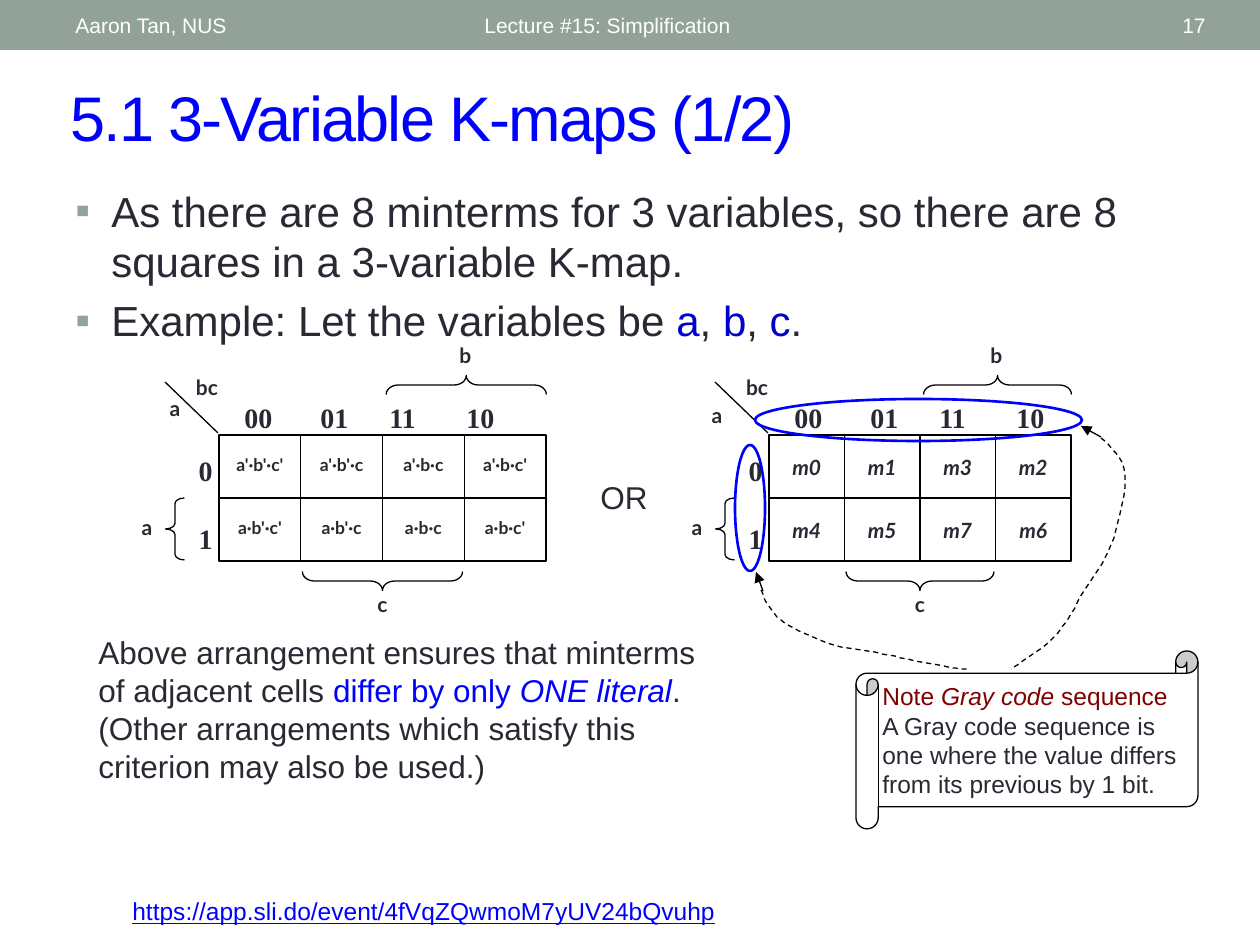
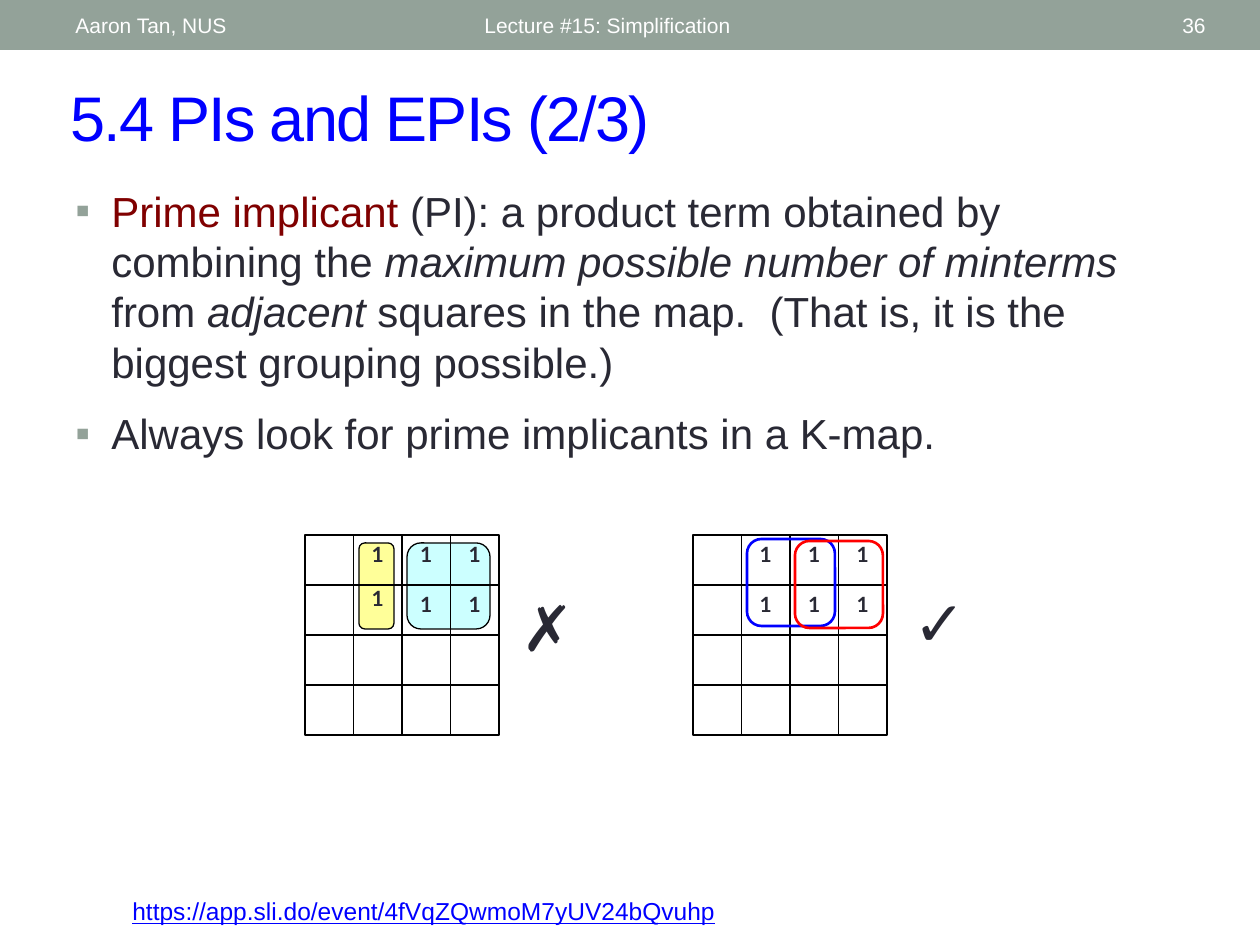
from lxml import etree
from pptx import Presentation, util as u
from pptx.dml.color import RGBColor
from pptx.enum import dml, shapes, text
from pptx.oxml.ns import qn

PX = 914400 / 126
INK, WHITE, BLACK, BAND = "292934", "FFFFFF", "000000", "93A299"
BLUE, NAVY, MAROON, RED = "0000FF", "0000CC", "800000", "FF0000"
AQUA, YELLOW = "CCFFFF", "FFFF99"
SHAPE, ALIGN = shapes.MSO_SHAPE, text.PP_ALIGN
LABEL = dict(name="Lato", size=12, bold=True)
CODE = dict(name="Times New Roman", size=16, bold=True)
URL = "https://app.sli.do/event/4fVqZQwmoM7yUV24bQvuhp"


def px(*values):
    return [u.Emu(round(v * PX)) for v in values]


def rgb(value):
    return RGBColor.from_string(value)


def sub(parent, tag, **attrs):
    return etree.SubElement(parent, qn(tag), attrs)


def set_font(font, fmt):
    fmt = dict(dict(name="Arial", size=18, color=INK), **fmt)
    font.color.rgb = rgb(fmt.pop("color"))
    fmt["size"] = u.Pt(fmt["size"])
    for key, value in fmt.items():
        setattr(font, key, value)


def write(s, box, paragraphs, align=ALIGN.LEFT, middle=False, gap=0,
          bullet=False, tabs=(), **fmt):
    """Each paragraph is a string or a list of strings and (string, format) runs."""
    tf = s.shapes.add_textbox(*px(*box)).text_frame
    tf.word_wrap = True
    if middle:
        tf.vertical_anchor = text.MSO_ANCHOR.MIDDLE
    for i, runs in enumerate(paragraphs):
        p = tf.paragraphs[0] if i == 0 else tf.add_paragraph()
        p.alignment = align
        if i and gap:
            p.space_before = u.Pt(gap)
        pPr = p._p.get_or_add_pPr()
        if bullet:
            indent = px(36)[0]
            pPr.set("marL", str(indent))
            pPr.set("indent", str(-indent))
            sub(sub(pPr, "a:buClr"), "a:srgbClr", val=BAND)
            sub(pPr, "a:buFont", typeface="Arial")
            sub(pPr, "a:buChar", char="▪")
        if tabs:
            stops = sub(pPr, "a:tabLst")
            for stop in px(*tabs):
                sub(stops, "a:tab", pos=str(stop), algn="l")
        for run in [runs] if isinstance(runs, str) else runs:
            words, own = (run, {}) if isinstance(run, str) else run
            r = p.add_run()
            r.text = words
            set_font(r.font, dict(fmt, **own))
    return tf


def label(s, cx, top, words, width=60, **fmt):
    write(s, (cx - width / 2, top, width, 40), [words], ALIGN.CENTER,
          **dict(LABEL, **fmt))


def style(sp, fill=None, line=BLACK, weight=0.75):
    sp.shadow.inherit = False
    if fill:
        sp.fill.solid()
        sp.fill.fore_color.rgb = rgb(fill)
    else:
        sp.fill.background()
    if line:
        sp.line.color.rgb = rgb(line)
        sp.line.width = u.Pt(weight)
    else:
        sp.line.fill.background()
    return sp


def shape(s, kind, box, **look):
    return style(s.shapes.add_shape(kind, *px(*box)), **look)


def line(s, x1, y1, x2, y2, arrow=False):
    c = s.shapes.add_connector(shapes.MSO_CONNECTOR.STRAIGHT, *px(x1, y1, x2, y2))
    c.line.color.rgb = rgb(BLACK)
    c.line.width = u.Pt(0.75)
    if arrow:
        sub(c.line._get_or_add_ln(), "a:tailEnd", type="triangle")
    sub(c._element.spPr, "a:effectLst")


def dashed_curve(s, points, steps=8):
    """Draw a chain of cubic Bezier segments as a fine polyline."""
    path = []
    for i in range(0, len(points) - 1, 3):
        for k in range(1, steps + 1):
            t = k / steps
            weights = ((1 - t) ** 3, 3 * t * (1 - t) ** 2, 3 * t * t * (1 - t), t ** 3)
            path.append([sum(w * pt[axis] for w, pt in zip(weights, points[i:i + 4]))
                         for axis in (0, 1)])
    builder = s.shapes.build_freeform(*points[0], scale=PX)
    builder.add_line_segments(path, close=False)
    sp = style(builder.convert_to_shape())
    sp.line.dash_style = dml.MSO_LINE.DASH


def brace(s, cx, cy, length, rotation=0, curl=0.63):
    sp = shape(s, SHAPE.LEFT_BRACE, (cx - 9.5, cy - length / 2, 19, length))
    sp.adjustments[0] = curl
    sp.rotation = rotation


def grid(s, x, y, w, h, columns, rows):
    shape(s, SHAPE.RECTANGLE, (x, y, w, h))
    for i in range(1, rows):
        line(s, x, y + h * i / rows, x + w, y + h * i / rows)
    for i in range(1, columns):
        line(s, x + w * i / columns, y, x + w * i / columns, y + h)


def frame(prs, title, number):
    """Start a slide with its band, footer texts, title and link."""
    s = prs.slides.add_slide(prs.slide_layouts[6])
    shape(s, SHAPE.RECTANGLE, (0, 0, 1260, 50), fill=BAND, line=None)
    for x, w, words, align in ((63, 400, "Aaron Tan, NUS", ALIGN.LEFT),
                               (472, 567, "Lecture #15: Simplification", ALIGN.LEFT),
                               (1098, 120, number, ALIGN.RIGHT)):
        write(s, (x, 3, w, 45), [words], align, middle=True, size=12, color=WHITE)
    tf = write(s, (58, 72, 1143, 88), [title], middle=True, size=36, color=BLUE)
    tf.paragraphs[0].runs[0].font._element.set("spc", "-100")
    write(s, (120, 890, 819, 43), [URL], size=14, color=BLUE, underline=True)
    return s


def bullets(s, paragraphs, height, gap):
    write(s, (63, 179, 1134, height), paragraphs, bullet=True, gap=gap, size=24)


def variable_map(s, x, y, w, corner, cells, **cell_format):
    """Three-variable map; corner is the offset of the row variable's label."""
    row, col = 63, w / 4
    grid(s, x, y, w, 2 * row, 4, 2)
    for i, words in enumerate(cells):
        label(s, x + col * (i % 4 + 0.5), y + 13 + row * (i // 4), words,
              width=col, **cell_format)
    line(s, x - 1, y - 2, x - 54, y - 53)
    label(s, x + corner[0], y + corner[1], "a")
    label(s, x - 12, y - 67, "bc", width=70)
    write(s, (x + 13, y - 41, 305, 50), ["00\t01\t11\t10"], tabs=(76, 145, 222), **CODE)
    write(s, (x - 41, y + 12, 47, 107), ["0", "1"], ALIGN.RIGHT, gap=20, **CODE)
    brace(s, x - 44, y + 94, 62, curl=0.29)
    label(s, x - 72, y + 73, "a")
    brace(s, x + w * 0.75 + 2, y - 50, w * 0.49, 90)
    label(s, x + w * 0.75 + 1, y - 99, "b")
    brace(s, x + w / 2, y + 146, w * 0.49, 270)
    label(s, x + w / 2, y + 150, "c")


def gray_code_note(s, x, y):
    shape(s, SHAPE.HORIZONTAL_SCROLL, (x, y, 342, 178), fill=WHITE)
    heading = [(words, dict(color=MAROON, italic=slanted)) for words, slanted in
               (("Note ", False), ("Gray code", True), (" sequence", False))]
    write(s, (x + 14, y + 24, 328, 136), [heading, "A Gray code sequence is one where "
          "the value differs from its previous by 1 bit."], size=14)


def gray_code_pointers(s):
    for box in ((735, 445, 30, 126), (755, 399, 327, 42)):
        shape(s, SHAPE.OVAL, box, line=BLUE, weight=1.5)
    line(s, 763, 591, 756, 572, arrow=True)
    line(s, 1101, 437, 1081, 426, arrow=True)
    dashed_curve(s, [(1101, 438), (1111, 447), (1123, 456), (1125, 474),
                     (1126, 490), (1120, 519), (1114, 538), (1108, 557),
                     (1096, 572), (1086, 588), (1076, 605), (1066, 624),
                     (1053, 638), (1041, 651), (1018, 664), (1011, 669)])
    dashed_curve(s, [(761, 590), (765, 600), (770, 611), (781, 620),
                     (794, 630), (816, 639), (834, 645), (852, 650),
                     (871, 651), (888, 655), (906, 659), (924, 663),
                     (939, 665), (953, 668), (960, 669), (969, 669)])


def three_variable_slide(prs):
    s = frame(prs, "5.1 3-Variable K-maps (1/2)", "17")
    a, b, c = [(name, dict(color=NAVY)) for name in "abc"]
    bullets(s, ["As there are 8 minterms for 3 variables, so there are 8 squares "
                "in a 3-variable K-map.",
                ["Example: Let the variables be ", a, ", ", b, ", ", c, "."]], 667, 5)
    minterms = [f"{a}∙{bc}" for a in ("a'", "a")
                for bc in ("b'∙c'", "b'∙c", "b∙c", "b∙c'")]
    variable_map(s, 219, 435, 327, (-44, -46), minterms, size=10)
    write(s, (588, 472, 73, 54), ["OR"])
    variable_map(s, 769, 435, 302, (-52, -39), [f"m{n}" for n in (0, 1, 3, 2, 4, 5, 7, 6)],
                 italic=True)
    gray_code_note(s, 856, 651)
    gray_code_pointers(s)
    write(s, (86, 627, 638, 180), [[
        "Above arrangement ensures that minterms of adjacent cells ",
        ("differ by only ", dict(color=BLUE)),
        ("ONE literal", dict(color=BLUE, italic=True)),
        ".  (Other arrangements which satisfy this criterion may also be used.)"]])


def highlight(s, x, y, box, **look):
    left, top, w, h = box
    shape(s, SHAPE.ROUNDED_RECTANGLE, (x + left, y + top, w, h), **look)


def ones_map(s, x, y, nudges=None):
    """Four-by-four map with 1s in the last three columns of two rows."""
    w, h = 194, 200
    grid(s, x, y, w, h, 4, 4)
    for row in range(2):
        for col in range(1, 4):
            nudge = (nudges or {}).get((row, col), 0)
            label(s, x + w / 4 * (col + 0.5), y + h / 4 * row + nudge, "1")


def verdict(s, x, y, mark):
    write(s, (x, y, 97, 116), [mark], size=36)


def prime_implicant_slide(prs):
    s = frame(prs, "5.4 PIs and EPIs (2/3)", "36")
    italic = dict(italic=True)
    bullets(s, [[("Prime implicant", dict(color=MAROON)),
                 " (PI): a product term obtained by combining the ",
                 ("maximum possible number of minterms", italic), " from ",
                 ("adjacent", italic),
                 " squares in the map.  (That is, it is the biggest grouping possible.)"],
                "Always look for prime implicants in a K-map."], 307, 12)
    wrong, right, top = 305, 693, 535
    highlight(s, wrong, top, (102, 8, 83, 86), fill=AQUA)
    highlight(s, wrong, top, (54, 8, 35, 86), fill=YELLOW)
    ones_map(s, wrong, top, nudges={(1, 1): -6})
    verdict(s, wrong + 204, top + 47, "✗")
    ones_map(s, right, top)
    highlight(s, right, top, (54, 4, 88, 87), line=BLUE, weight=1.5)
    highlight(s, right, top, (102, 6, 88, 87), line=RED, weight=1.5)
    verdict(s, right + 208, top + 42, "✓")


def main():
    prs = Presentation()
    prs.slide_width, prs.slide_height = px(1260, 945)
    three_variable_slide(prs)
    prime_implicant_slide(prs)
    prs.save("out.pptx")


if __name__ == "__main__":
    main()
